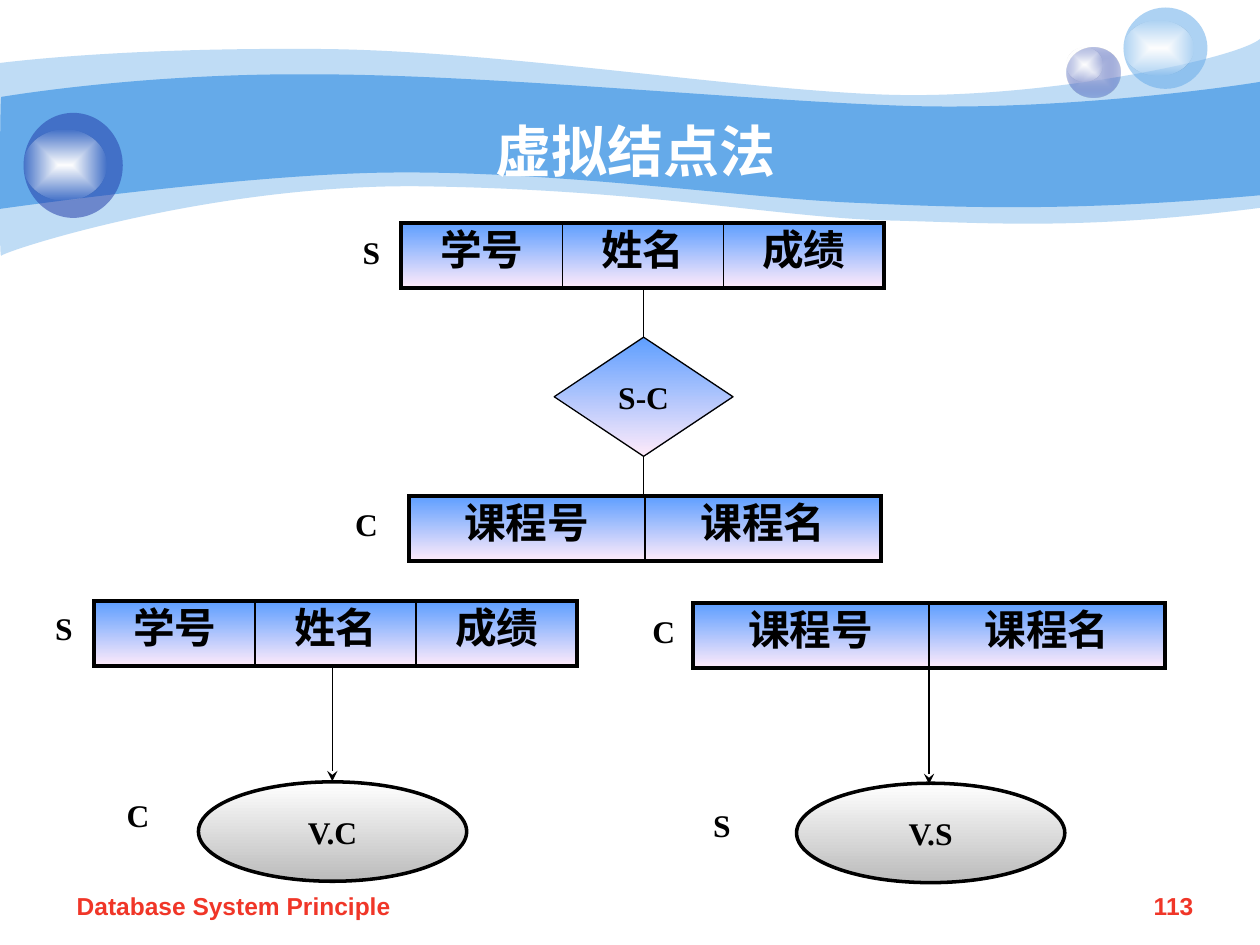
"""Build the virtual-node method slide with its record types and links."""
from dataclasses import dataclass

from lxml import etree
from pptx import Presentation
from pptx import util as u
from pptx.dml.color import RGBColor
from pptx.enum import shapes, text
from pptx.oxml import ns


@dataclass(frozen=True)
class Theme:
    sky: str = "65AAE9"
    navy: str = "233DA9"
    mist: str = "C7CEE9"
    white: str = "FFFFFF"
    black: str = "000000"
    red: str = "F03628"
    record: tuple = ("5E9EFF", "FFEBFA")
    virtual: tuple = ("FFFFFF", "BBBBBB")
    sans: str = "Arial"
    serif: str = "Times New Roman"
    title: float = 32
    field: float = 23.8
    label: float = 18
    footer: float = 14


theme = Theme()
Align = text.PP_ALIGN
Anchor = text.MSO_ANCHOR
Preset = shapes.MSO_SHAPE


def write(shape, words, size=theme.label, font=theme.serif, color=theme.black,
          align=Align.CENTER, anchor=Anchor.TOP, spacing=None, wrap=True):
    frame = shape.text_frame
    frame.word_wrap = wrap
    frame.vertical_anchor = anchor
    paragraph = frame.paragraphs[0]
    paragraph.text = words
    paragraph.alignment = align
    paragraph.line_spacing = spacing
    paragraph.font.size = u.Pt(size)
    paragraph.font.name = font
    paragraph.font.bold = True
    paragraph.font.color.rgb = RGBColor.from_string(color)


def paint(shape, colors, alphas=(100, 100), radial=False, outline=0):
    shape.shadow.inherit = False
    if len(colors) == 1:
        shape.fill.solid()
        shape.fill.fore_color.rgb = RGBColor.from_string(colors[0])
    else:
        shape.fill.gradient()
        shape.fill.gradient_angle = 270
        for stop, color in zip(shape.fill.gradient_stops, colors):
            stop.color.rgb = RGBColor.from_string(color)
    properties = shape._element.spPr
    for color, alpha in zip(properties.findall(".//" + ns.qn("a:srgbClr")), alphas):
        if alpha < 100:
            etree.SubElement(color, ns.qn("a:alpha"), val=str(alpha * 1000))
    if radial:
        gradient = properties.find(ns.qn("a:gradFill"))
        gradient.remove(gradient.find(ns.qn("a:lin")))
        center = etree.SubElement(gradient, ns.qn("a:path"), path="rect")
        etree.SubElement(center, ns.qn("a:fillToRect"), l="50000", t="50000", r="50000", b="50000")
    if outline:
        shape.line.color.rgb = RGBColor.from_string(theme.black)
        shape.line.width = u.Pt(outline)
    else:
        shape.line.fill.background()


presentation = Presentation()
presentation.slide_width, presentation.slide_height = u.Pt(720), u.Pt(540)
slide = presentation.slides.add_slide(presentation.slide_layouts[6])
canvas = slide.shapes

waves = [
    (41, [
        (0, 36), (17, 34), (77, 27.4), (178, 28), (278, 28), (414, 50.4), (503, 54),
        (592, 57.6), (706, 34), (720, 22.3), (720, 22.3), (720, 118.8), (720, 118.8),
        (618, 131.8), (567, 127.4), (507.6, 126), (448, 124.6), (371, 108.7), (247, 106.6),
        (124, 103.7), (3, 143.3), (0.7, 146.2), (-0.7, 149.8), (0, 54), (0, 36)]),
    (100, [
        (0.7, 55.4), (1.4, 55.4), (79, 41.8), (178.6, 42.5), (278, 42.5), (428, 57.6),
        (517, 60.5), (605.5, 63.4), (703, 49.7), (720, 46.8), (720, 46.8), (720, 111.6),
        (720, 111.6), (614, 121), (551, 118.8), (491, 116), (431, 113.8), (322, 98),
        (228, 98.6), (146, 98.6), (-1.4, 119.5), (-0.7, 119.5), (0, 119.5), (0, 55.4),
        (0.7, 55.4)]),
]
for alpha, (start, *points) in waves:
    builder = canvas.build_freeform(*map(u.Pt, start))
    builder.add_line_segments([(u.Pt(x), u.Pt(y)) for x, y in points])
    wave = builder.convert_to_shape()
    outline = wave._element.spPr.find(".//" + ns.qn("a:path"))
    segments = outline.findall(ns.qn("a:lnTo"))
    for index in range(0, len(points), 3):
        curve = etree.Element(ns.qn("a:cubicBezTo"))
        segments[index].addprevious(curve)
        for segment in segments[index:index + 3]:
            curve.append(segment[0])
            outline.remove(segment)
    paint(wave, (theme.sky,), (alpha,))

orbs = [
    ((609.5, 27, 31, 29), (theme.mist, theme.navy), (100, 31), (609.5, 27, 20.5, 19.5)),
    ((642, 4.3, 48, 46.5), (theme.sky,), (53,), (642, 12, 40, 31)),
    ((13.5, 64.5, 56.7, 60), (theme.navy,), (53,), (13.5, 74.3, 47.5, 40)),
]
for ball, colors, alphas, glow in orbs:
    shape = canvas.add_shape(Preset.OVAL, *map(u.Pt, ball))
    paint(shape, colors, alphas, radial=len(colors) > 1)
    shape = canvas.add_shape(Preset.OVAL, *map(u.Pt, glow))
    paint(shape, (theme.white, theme.white), (100, 0), radial=True)

footer = dict(size=theme.footer, font=theme.sans, color=theme.red)
heading = dict(size=theme.title, font=theme.sans, color=theme.white,
               anchor=Anchor.MIDDLE, spacing=1.5)
left = dict(align=Align.LEFT)
texts = [
    ("113", (638, 505.5, 51, 25), dict(footer, align=Align.RIGHT)),
    ("虚拟结点法", (72, 54, 582, 44.5), heading),
    ("Database System Principle", (36.7, 505.5, 284, 25), dict(footer, **left)),
    ("S", (198.2, 129.6, 28, 29), {}),
    ("C", (195.5, 285, 28, 29), {}),
    ("S", (24.5, 344.3, 28, 29), left),
    ("C", (65.3, 451.5, 28, 29), left),
    ("C", (365.7, 346.2, 28, 29), left),
    ("S", (400.5, 457, 28, 29), left),
]
for words, box, style in texts:
    write(canvas.add_textbox(*map(u.Pt, box)), words, **style)

student = ("学号", "姓名", "成绩")
course = ("课程号", "课程名")
records = [
    (229.4, 127.4, 276, student),
    (233.5, 283.5, 270, course),
    (53.9, 343.7, 276, student),
    (395.8, 344.8, 270, course),
]
height = 37
lines = [
    (367.8, 164.4, 367.8, 192.7, 0.75, False),
    (367.8, 260.8, 367.8, 283.5, 0.75, False),
    (189.9, 380.5, 189.9, 446.4, 0.75, True),
    (530.9, 382, 530.9, 448, 0.75, True),
]
for x, y, width, fields in records:
    cell = width / len(fields)
    for index, field in enumerate(fields):
        shape = canvas.add_shape(Preset.RECTANGLE, *map(u.Pt, (x + index * cell, y, cell, height)))
        paint(shape, theme.record)
        write(shape, field, size=theme.field, spacing=0.9)
    for edge in (y, y + height):
        lines.append((x, edge, x + width, edge, 2.25, False))
    for index in range(len(fields) + 1):
        border = x + index * cell
        weight = 2.25 if index in (0, len(fields)) else 1
        lines.append((border, y, border, y + height, weight, False))

for x1, y1, x2, y2, weight, arrow in lines:
    connector = canvas.add_connector(shapes.MSO_CONNECTOR.STRAIGHT, *map(u.Pt, (x1, y1, x2, y2)))
    connector.line.color.rgb = RGBColor.from_string(theme.black)
    connector.line.width = u.Pt(weight)
    stroke = connector.line._get_or_add_ln()
    if weight > 2:
        stroke.set("cap", "sq")
    if arrow:
        etree.SubElement(stroke, ns.qn("a:tailEnd"), type="stealth")
    etree.SubElement(connector._element.spPr, ns.qn("a:effectLst"))

nodes = [
    ("S-C", Preset.FLOWCHART_DECISION, (316.7, 192.7, 102.2, 68.1), theme.record, 0.75),
    ("V.C", Preset.OVAL, (113.4, 446.8, 153.3, 56.8), theme.virtual, 2),
    ("V.S", Preset.OVAL, (455.2, 447.6, 153.3, 56.8), theme.virtual, 2),
]
for words, preset, box, colors, outline in nodes:
    shape = canvas.add_shape(preset, *map(u.Pt, box))
    paint(shape, colors, outline=outline)
    write(shape, words, anchor=Anchor.MIDDLE, wrap=False)

presentation.save("out.pptx")
